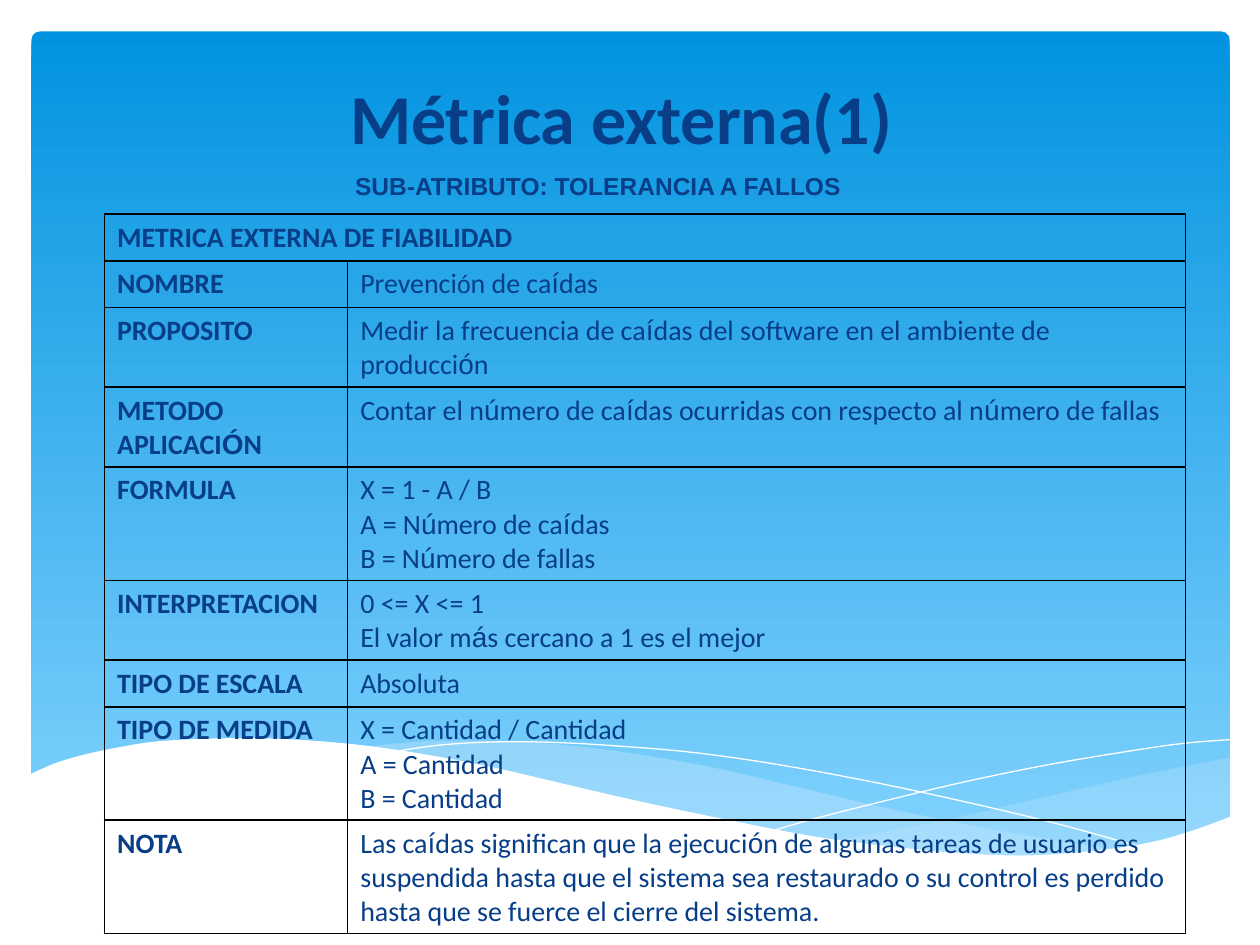
from itertools import groupby

from lxml import etree
from pptx import Presentation
from pptx import util as u
from pptx.dml.color import RGBColor
from pptx.enum import shapes, text
from pptx.oxml import ns

PX = 9144  # EMU per px, 100 px to the inch

NAVY = RGBColor(0x07, 0x3E, 0x87)
SKY_TOP = RGBColor(0x02, 0x93, 0xE0)
SKY_BOTTOM = RGBColor(0x83, 0xD3, 0xFE)
MIST = RGBColor(0xC6, 0xE7, 0xFC)
WHITE = RGBColor(0xFF, 0xFF, 0xFF)
BORDER = "000000"

ACCENTED = "áíóúÓ"
ROW_HEIGHTS = {1: 37, 2: 63, 3: 90}  # by number of text lines

# Wave outlines, as knots relative to the slide corner
RIGHT_WAVE_TOP = [(977, 601), (907, 615), (862, 625), (806, 638), (754, 650),
                  (707, 659), (662, 667)]
RIGHT_WAVE_BOTTOM = [(662, 667), (706, 674), (745, 677), (782, 679), (815, 680),
                     (845, 679), (873, 676), (898, 672), (922, 667), (944, 661),
                     (964, 654), (977, 649)]
MIDDLE_WAVE_TOP = [(287, 593), (314, 590), (345, 588), (380, 588), (420, 589),
                   (465, 593), (515, 600), (570, 610), (630, 624), (707, 642),
                   (776, 656), (838, 667), (894, 675)]
MIDDLE_WAVE_BOTTOM = [(894, 675), (868, 678), (839, 680), (808, 680), (774, 679),
                      (737, 677), (696, 672), (651, 666), (602, 657), (530, 642),
                      (450, 624), (405, 613), (363, 605), (323, 598), (287, 593)]
FALLING_LINE = [(310, 597), (329, 594), (353, 591), (388, 589), (433, 589),
                (489, 592), (557, 598), (636, 610), (728, 628), (832, 652), (908, 673)]
RISING_LINE = [(614, 659), (653, 648), (721, 631), (777, 618), (837, 606),
               (897, 596), (939, 590), (976, 587)]
FRONT_WAVE_TOP = [(977, 648), (950, 658), (920, 667), (887, 673), (850, 677),
                  (809, 679), (761, 677), (708, 672), (647, 664), (579, 651),
                  (503, 635), (447, 622), (391, 609), (339, 599), (292, 592),
                  (250, 588), (211, 586), (177, 586), (146, 587), (119, 589),
                  (95, 593), (75, 597), (59, 601), (46, 605), (36, 609), (23, 615)]
FRONT_WAVE_BASE = [(23, 731), (977, 731)]

HEADING = "METRICA EXTERNA DE FIABILIDAD"
# label, value paragraphs, text lines, size of accented letters
METRIC_ROWS = [
    ("NOMBRE", ["Prevención de caídas"], 1),
    ("PROPOSITO", ["Medir la frecuencia de caídas del software en el ambiente de producción"], 2),
    ("METODO APLICACIÓN",
     ["Contar el número de caídas ocurridas con respecto al número de fallas"], 2),
    ("FORMULA", ["X = 1 - A / B", "A = Número de caídas", "B = Número de fallas"], 3),
    ("INTERPRETACION", ["0 <= X <= 1", "El valor más cercano a 1 es el mejor"], 2),
    ("TIPO DE ESCALA", ["Absoluta"], 1),
    ("TIPO DE MEDIDA", ["X = Cantidad / Cantidad", "A = Cantidad", "B = Cantidad"], 3),
    ("NOTA", ["Las caídas significan que la ejecución de algunas tareas de usuario es "
              "suspendida hasta que el sistema sea restaurado o su control es perdido "
              "hasta que se fuerce el cierre del sistema."], 3),
]


def write(frame, paragraphs, size=16, font="Calibri", accent_font=None, bold=False,
          align=None):
    """Fill a text frame; accented letters may take a font of their own."""
    frame.word_wrap = True
    for index, line in enumerate(paragraphs):
        paragraph = frame.add_paragraph() if index else frame.paragraphs[0]
        paragraph.alignment = align
        for accented, letters in groupby(line, lambda letter: letter in ACCENTED):
            run = paragraph.add_run()
            run.text = "".join(letters)
            run.font.name = accent_font if accented and accent_font else font
            run.font.size = u.Pt(size)
            run.font.bold = bold
            run.font.color.rgb = NAVY


def smooth(knots, steps=5):
    """Points of a Catmull-Rom curve through the knots."""
    padded = [knots[0], *knots, knots[-1]]
    points = [knots[0]]
    for a, b, c, d in zip(padded, padded[1:], padded[2:], padded[3:]):
        for step in range(1, steps + 1):
            t = step / steps
            points.append(tuple(
                (2 * q + (r - p) * t + (2 * p - 5 * q + 4 * r - s) * t ** 2
                 + (3 * q - p - 3 * r + s) * t ** 3) / 2
                for p, q, r, s in zip(a, b, c, d)))
    return points


def add_wave(slide, left, top, points, fill=None, opacity=100):
    """A filled wave, or a white hairline when there is no fill."""
    scaled = [((left + x) * PX, (top + y) * PX) for x, y in points]
    builder = slide.shapes.build_freeform(*scaled[0])
    builder.add_line_segments(scaled[1:], close=fill is not None)
    wave = builder.convert_to_shape()
    wave.shadow.inherit = False
    if fill is None:
        wave.fill.background()
        wave.line.color.rgb = WHITE
        wave.line.width = 0
        return
    wave.line.fill.background()
    wave.fill.solid()
    wave.fill.fore_color.rgb = fill
    if opacity < 100:
        color = wave.fill._xPr.find(".//" + ns.qn("a:srgbClr"))
        etree.SubElement(color, ns.qn("a:alpha"), val=str(opacity * 1000))


def add_backdrop(slide, left, top):
    # Sky panel
    sky = slide.shapes.add_shape(shapes.MSO_SHAPE.ROUNDED_RECTANGLE, (left + 25) * PX,
                                 (top + 25) * PX, 951 * PX, 660 * PX)
    sky.adjustments[0] = 0.01
    sky.shadow.inherit = False
    sky.line.fill.background()
    sky.fill.gradient()
    sky.fill.gradient_angle = 270
    for stop, color in zip(sky.fill.gradient_stops, (SKY_TOP, SKY_BOTTOM)):
        stop.color.rgb = color

    # Waves, back to front
    add_wave(slide, left, top, smooth(RIGHT_WAVE_TOP) + smooth(RIGHT_WAVE_BOTTOM), MIST, 29)
    add_wave(slide, left, top, smooth(MIDDLE_WAVE_TOP) + smooth(MIDDLE_WAVE_BOTTOM), MIST, 40)
    add_wave(slide, left, top, smooth(FALLING_LINE))
    add_wave(slide, left, top, smooth(RISING_LINE))
    add_wave(slide, left, top, smooth(FRONT_WAVE_TOP) + FRONT_WAVE_BASE, WHITE)


def add_headings(slide, left, top):
    title = slide.shapes.add_textbox(left * PX, top * PX, 900 * PX, 137 * PX).text_frame
    title.vertical_anchor = text.MSO_ANCHOR.BOTTOM
    title.margin_bottom = 32 * PX
    write(title, ["Métrica externa(1)"], size=40, bold=True, align=text.PP_ALIGN.CENTER)

    subtitle = slide.shapes.add_textbox((left + 229) * PX, (top + 110) * PX,
                                        465 * PX, 33 * PX).text_frame
    write(subtitle, ["SUB-ATRIBUTO: TOLERANCIA A FALLOS"], size=14, font="Arial", bold=True)


def style_cell(cell):
    properties = cell._tc.get_or_add_tcPr()
    for side in ("lnL", "lnR", "lnT", "lnB"):
        border = etree.SubElement(properties, ns.qn("a:" + side), w=str(u.Pt(1)))
        fill = etree.SubElement(border, ns.qn("a:solidFill"))
        etree.SubElement(fill, ns.qn("a:srgbClr"), val=BORDER)
    cell.fill.background()


def add_metric_table(slide, left, top):
    heights = [ROW_HEIGHTS[lines] for lines in [1] + [row[2] for row in METRIC_ROWS]]
    widths = (193, 665)
    table = slide.shapes.add_table(len(heights), len(widths), left * PX, top * PX,
                                   sum(widths) * PX, sum(heights) * PX).table
    table.first_row = table.horz_banding = False
    for column, width in zip(table.columns, widths):
        column.width = width * PX
    for row, height in zip(table.rows, heights):
        row.height = height * PX
    for cell in table.iter_cells():
        style_cell(cell)

    # Heading row over both columns
    table.cell(0, 0).merge(table.cell(0, 1))
    write(table.cell(0, 0).text_frame, [HEADING], bold=True)

    # Label and value rows
    for index, (label, values, _) in enumerate(METRIC_ROWS, 1):
        write(table.cell(index, 0).text_frame, [label], accent_font="Arial", bold=True)
        write(table.cell(index, 1).text_frame, values, accent_font="Arial")
    name_runs = table.cell(1, 1).text_frame.paragraphs[0].runs
    name_runs[1].font.size = u.Pt(14)


def main():
    deck = Presentation()
    deck.slide_width, deck.slide_height = 1000 * PX, 750 * PX
    slide = deck.slides.add_slide(deck.slide_layouts[6])
    add_backdrop(slide, 0, 0)
    add_headings(slide, 43, 21)
    add_metric_table(slide, 83, 170)
    deck.save("out.pptx")


if __name__ == "__main__":
    main()
